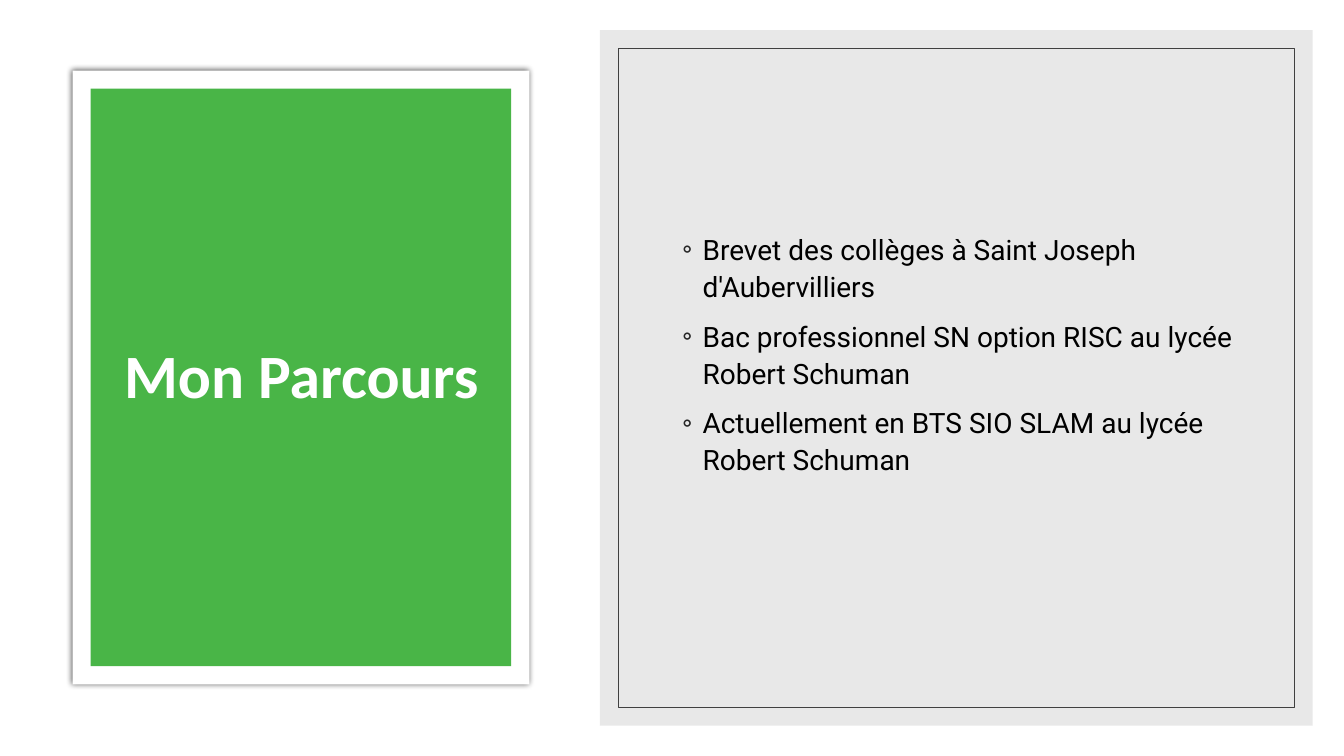
from dataclasses import dataclass
from typing import Optional

from lxml import etree
from pptx import Presentation
from pptx.dml.color import RGBColor
from pptx.enum.shapes import MSO_SHAPE
from pptx.enum.text import MSO_ANCHOR, PP_ALIGN
from pptx.oxml.ns import qn
from pptx.util import Pt

EMU_PER_PX = 9144
RECTANGLE = MSO_SHAPE.RECTANGLE
MIDDLE = MSO_ANCHOR.MIDDLE
CENTER = PP_ALIGN.CENTER
WHITE = RGBColor(0xFF, 0xFF, 0xFF)
BLACK = RGBColor(0x00, 0x00, 0x00)
GREEN = RGBColor(0x49, 0xB5, 0x47)
GREY = RGBColor(0xD9, 0xD9, 0xD9)
FRAME_GREY = RGBColor(0x40, 0x40, 0x40)
BULLET_GREY = RGBColor(0x26, 0x26, 0x26)


@dataclass(frozen=True)
class Area:
    """Position and size in px."""
    left: int
    top: int
    width: int
    height: int

    def emu(self) -> tuple[int, ...]:
        """Return the four lengths in EMU."""
        return tuple(px(n) for n in (self.left, self.top, self.width, self.height))


@dataclass(frozen=True)
class Panel:
    """A rectangle with its fill, outline and effects."""
    area: Area
    fill: Optional[RGBColor] = None
    line: Optional[RGBColor] = None
    opacity: int = 100
    shadow: bool = False


@dataclass(frozen=True)
class TextStyle:
    """Font and line spacing of a text block."""
    font: str
    size: int
    color: RGBColor
    bold: bool
    line_spacing: float


PANELS = [
    Panel(Area(0, 0, 1333, 750), WHITE),
    Panel(Area(72, 70, 453, 609), WHITE, shadow=True),
    Panel(Area(90, 88, 417, 573), GREEN),
    Panel(Area(595, 30, 707, 690), GREY, opacity=60),
    Panel(Area(613, 48, 671, 654), line=FRAME_GREY),
]
TITLE_AREA = Area(108, 130, 382, 491)
BODY_AREA = Area(667, 102, 566, 545)
BODY_BOTTOM_INSET = 54
BULLET_INDENT = 20
TITLE_STYLE = TextStyle("Calibri", 44, WHITE, True, 0.9)
BODY_STYLE = TextStyle("Roboto", 20, BLACK, False, 1.1)
STEPS = [
    "Brevet des collèges à Saint Joseph d'Aubervilliers",
    "Bac professionnel SN option RISC au lycée Robert Schuman",
    "Actuellement en BTS SIO SLAM au lycée Robert Schuman",
]


def px(length: int) -> int:
    """Convert px to EMU."""
    return length * EMU_PER_PX


def add_color(parent, color: RGBColor, opacity: int = 100) -> None:
    """Append an RGB colour element with the given opacity."""
    value = etree.SubElement(parent, qn("a:srgbClr"), val=str(color))
    if opacity < 100:
        etree.SubElement(value, qn("a:alpha"), val=str(opacity * 1000))


def draw_panel(page, panel: Panel) -> None:
    """Draw one rectangle."""
    box = page.shapes.add_shape(RECTANGLE, *panel.area.emu())
    box.shadow.inherit = False
    if panel.fill is None:
        box.fill.background()
    else:
        box.fill.solid()
        box.fill.fore_color.rgb = panel.fill
    if panel.opacity < 100:
        solid = box.element.spPr.find(qn("a:solidFill"))
        solid.clear()
        add_color(solid, panel.fill, panel.opacity)
    if panel.line is None:
        box.line.fill.background()
    else:
        box.line.color.rgb = panel.line
        box.line.width = Pt(0.5)
    if panel.shadow:
        effects = box.element.spPr.find(qn("a:effectLst"))
        outer = etree.SubElement(effects, qn("a:outerShdw"), blurRad=str(Pt(4)),
                                 dist="0", dir="0", algn="ctr", rotWithShape="0")
        add_color(outer, BLACK, 66)


def set_bullet(para) -> None:
    """Give a paragraph a hanging ring bullet."""
    properties = para._p.get_or_add_pPr()
    properties.set("marL", str(px(BULLET_INDENT)))
    properties.set("indent", str(-px(BULLET_INDENT)))
    add_color(etree.SubElement(properties, qn("a:buClr")), BULLET_GREY)
    etree.SubElement(properties, qn("a:buFont"), typeface="Calibri")
    etree.SubElement(properties, qn("a:buChar"), char="◦")


def draw_text(page, area: Area, lines: list[str], style: TextStyle):
    """Draw a vertically centred text block and return its frame."""
    frame = page.shapes.add_textbox(*area.emu()).text_frame
    frame.word_wrap = True
    frame.vertical_anchor = MIDDLE
    for index, line in enumerate(lines):
        para = frame.add_paragraph() if index else frame.paragraphs[0]
        para.line_spacing = style.line_spacing
        span = para.add_run()
        span.text = line
        span.font.name = style.font
        span.font.size = Pt(style.size)
        span.font.bold = style.bold
        span.font.color.rgb = style.color
    return frame


def main() -> None:
    """Build and save the slide."""
    deck = Presentation()
    deck.slide_width, deck.slide_height = px(1333), px(750)
    page = deck.slides.add_slide(deck.slide_layouts[6])
    for panel in PANELS:
        draw_panel(page, panel)
    title = draw_text(page, TITLE_AREA, ["Mon Parcours"], TITLE_STYLE)
    title.paragraphs[0].alignment = CENTER
    body = draw_text(page, BODY_AREA, STEPS, BODY_STYLE)
    body.margin_bottom = px(BODY_BOTTOM_INSET)
    for para in body.paragraphs:
        para.space_before = Pt(9)
        set_bullet(para)
    deck.save("out.pptx")


if __name__ == "__main__":
    main()
